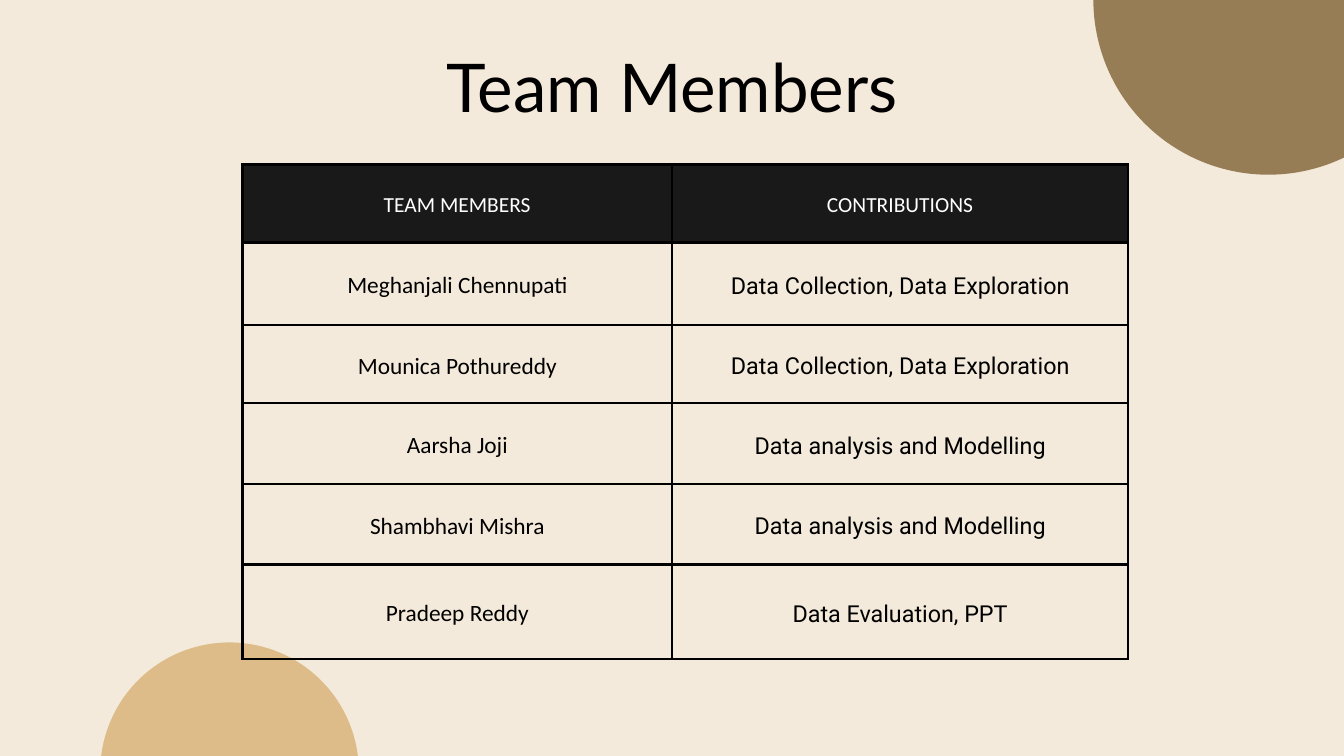
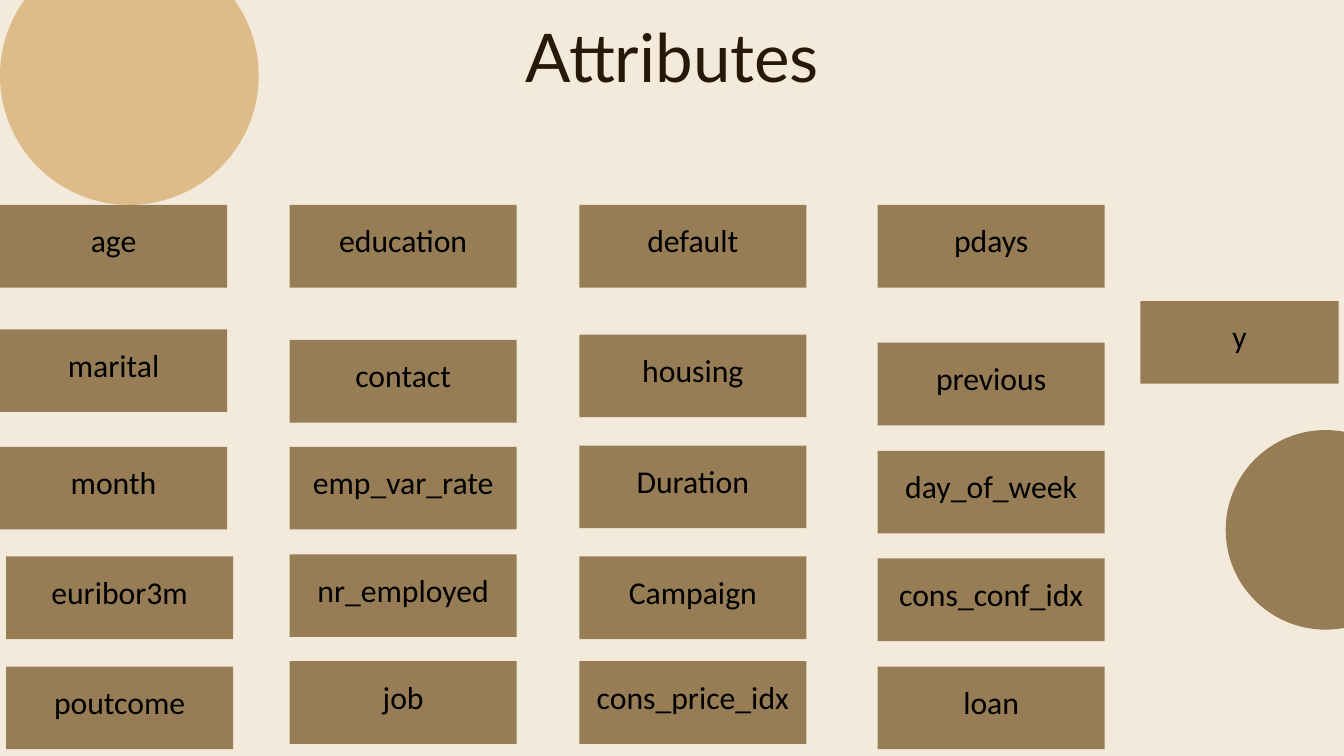
from lxml import etree
from pptx import Presentation
from pptx.dml.color import RGBColor
from pptx.enum.shapes import MSO_SHAPE
from pptx.enum.text import MSO_ANCHOR, MSO_AUTO_SIZE, PP_ALIGN
from pptx.oxml.ns import qn
from pptx.util import Inches, Pt

OVAL, RECTANGLE = MSO_SHAPE.OVAL, MSO_SHAPE.RECTANGLE
CENTER = PP_ALIGN.CENTER
TOP, MIDDLE = MSO_ANCHOR.TOP, MSO_ANCHOR.MIDDLE
NO_AUTOFIT = MSO_AUTO_SIZE.NONE
TITLE_ONLY = 5

COLORS = {
    "cream": "F4EADB",
    "brown": "967D55",
    "sand": "DDBC8A",
    "header": "191919",
    "black": "000000",
    "white": "FFFFFF",
    "dark_brown": "271905",
}
TITLE_FONT, BODY_FONT, DETAIL_FONT = "Lato", "Calibri", "Roboto"

TEAM = [
    ("TEAM MEMBERS", "CONTRIBUTIONS"),
    ("Meghanjali Chennupati", "Data Collection, Data Exploration"),
    ("Mounica Pothureddy", "Data Collection, Data Exploration"),
    ("Aarsha Joji", "Data analysis and Modelling"),
    ("Shambhavi Mishra", "Data analysis and Modelling"),
    ("Pradeep Reddy", "Data Evaluation, PPT"),
]
TEAM_COLUMNS = [6.39, 6.79]
TEAM_ROWS = [1.16, 1.23, 1.16, 1.2, 1.2, 1.41]

TILE_WIDTH, TILE_HEIGHT = 3.38, 1.23
# Each column: left edge, then the top edge of every attribute
ATTRIBUTES = [
    (0, {"age": 3.05, "marital": 4.9, "month": 6.65}),
    (0.09, {"euribor3m": 8.28, "poutcome": 9.92}),
    (4.31, {"education": 3.05, "contact": 5.06, "emp_var_rate": 6.65,
            "nr_employed": 8.25, "job": 9.84}),
    (8.62, {"default": 3.05, "housing": 4.98, "Duration": 6.63,
            "Campaign": 8.28, "cons_price_idx": 9.84}),
    (13.06, {"pdays": 3.05, "previous": 5.1, "day_of_week": 6.71,
             "cons_conf_idx": 8.31, "loan": 9.92}),
]


def rgb(color):
    return RGBColor.from_string(COLORS[color])


class Builder:
    """Holds the deck's style and the slide being filled."""

    def __init__(self):
        self.deck = Presentation()
        self.deck.slide_width, self.deck.slide_height = Inches(20), Inches(11.25)
        background = self.deck.slide_master.background.fill
        background.solid()
        background.fore_color.rgb = rgb("cream")
        self.page = None

    def new_page(self):
        self.page = self.deck.slides.add_slide(self.deck.slide_layouts[TITLE_ONLY])

    def set_text(self, frame, text, font, size, color, spacing):
        frame.text = text
        frame.word_wrap = True
        paragraph = frame.paragraphs[0]
        paragraph.alignment = CENTER
        paragraph.line_spacing = Pt(spacing)
        span = paragraph.runs[0].font
        span.name, span.size = font, Pt(size)
        span.color.rgb = rgb(color)

    def title(self, text, left, top, width, height, color, spacing):
        box = self.page.shapes.title
        box.left, box.top = Inches(left), Inches(top)
        box.width, box.height = Inches(width), Inches(height)
        frame = box.text_frame
        self.set_text(frame, text, TITLE_FONT, 72, color, spacing)
        frame.auto_size = NO_AUTOFIT
        frame.vertical_anchor = TOP
        frame.margin_left = frame.margin_right = 0
        frame.margin_top = frame.margin_bottom = 0

    def shape(self, kind, left, top, width, height, color):
        shape = self.page.shapes.add_shape(
            kind, Inches(left), Inches(top), Inches(width), Inches(height))
        shape.shadow.inherit = False
        shape.fill.solid()
        shape.fill.fore_color.rgb = rgb(color)
        shape.line.fill.background()
        return shape

    def circle(self, left, top, diameter, color):
        self.shape(OVAL, left, top, diameter, diameter, color)

    def tile(self, text, left, top, width=TILE_WIDTH):
        frame = self.shape(RECTANGLE, left, top, width, TILE_HEIGHT, "brown").text_frame
        self.set_text(frame, text, BODY_FONT, 34, "black", 47.6)
        frame.vertical_anchor = MIDDLE
        frame.margin_left = frame.margin_right = frame.margin_top = Inches(0.06)
        frame.margin_bottom = Inches(0.34)  # lifts the label above the centre

    def cell_borders(self, cell):
        properties = cell._tc.get_or_add_tcPr()
        for side in ("a:lnL", "a:lnR", "a:lnT", "a:lnB"):
            line = etree.SubElement(properties, qn(side), w=str(Pt(3)))
            fill = etree.SubElement(line, qn("a:solidFill"))
            etree.SubElement(fill, qn("a:srgbClr"), val=COLORS["black"])

    def table(self, rows, left, top, widths, heights):
        table = self.page.shapes.add_table(
            len(rows), len(widths), Inches(left), Inches(top),
            Inches(sum(widths)), Inches(sum(heights))).table
        table.first_row = table.horz_banding = False
        for column, width in zip(table.columns, widths):
            column.width = Inches(width)
        for row, height in zip(table.rows, heights):
            row.height = Inches(height)
        for row_index, texts in enumerate(rows):
            for column_index, text in enumerate(texts):
                cell = table.cell(row_index, column_index)
                self.cell_borders(cell)
                cell.vertical_anchor = MIDDLE
                cell.margin_left = cell.margin_right = Inches(0.21)
                cell.margin_top = cell.margin_bottom = Inches(0.21)
                if row_index == 0:
                    cell.fill.solid()
                    cell.fill.fore_color.rgb = rgb("header")
                    self.set_text(cell.text_frame, text, BODY_FONT, 23, "white", 32.2)
                else:
                    cell.fill.background()
                    font = DETAIL_FONT if column_index else BODY_FONT
                    self.set_text(cell.text_frame, text, font, 25, "black", 35)


def add_team_members(builder):
    builder.new_page()
    builder.circle(16.27, -2.61, 5.21, "brown")
    builder.circle(1.49, 9.56, 3.85, "sand")
    builder.table(TEAM, 3.61, 2.45, TEAM_COLUMNS, TEAM_ROWS)
    builder.title("Team Members", 6.52, 0.47, 6.96, 1.43, "black", 100.8)


def add_attributes(builder):
    builder.new_page()
    builder.circle(18.24, 6.4, 2.97, "brown")
    builder.circle(0, -0.8, 3.85, "sand")
    builder.title("Attributes", 4.72, 0.23, 10.57, 1.28, "dark_brown", 86.4)
    for left, tops in ATTRIBUTES:
        for name, top in tops.items():
            builder.tile(name, left, top)
    builder.tile("y", 16.97, 4.48, 2.95)


def main():
    builder = Builder()
    add_team_members(builder)
    add_attributes(builder)
    builder.deck.save("out.pptx")


if __name__ == "__main__":
    main()
